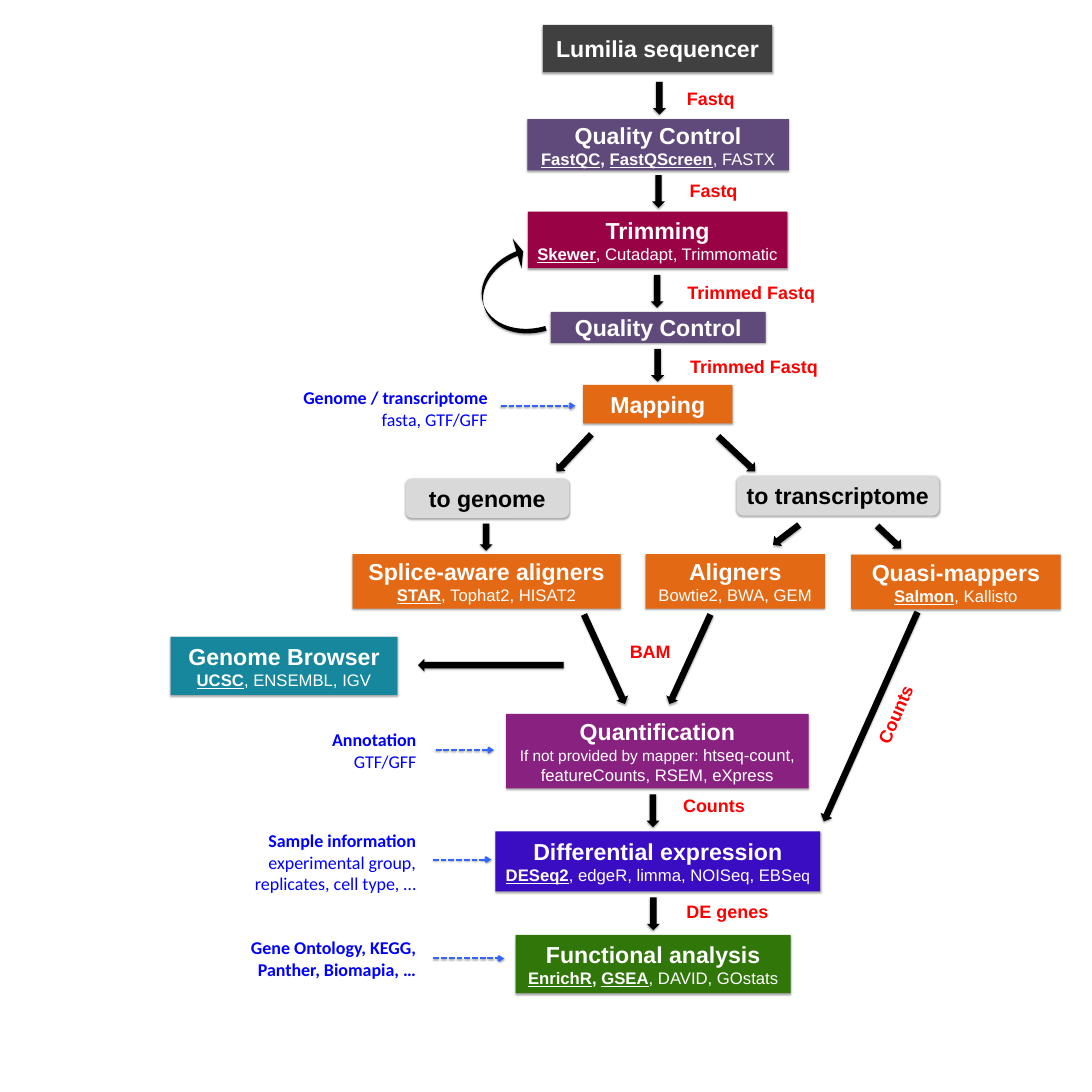
"""Draw the RNA-seq analysis workflow on one square slide."""
from dataclasses import dataclass

from lxml import etree
from pptx import Presentation
from pptx import util as u
from pptx.dml.color import RGBColor
from pptx.enum import dml, shapes, text
from pptx.oxml import ns

KIND = shapes.MSO_SHAPE


@dataclass(frozen=True)
class Theme:
    """Colours, fonts and type sizes of the slide."""
    dark: str = "404040"
    check: str = "604A7B"
    trim: str = "9A0246"
    map: str = "E46914"
    count: str = "88217F"
    diff: str = "3A0CC2"
    func: str = "307609"
    view: str = "16879D"
    pale: str = "D9D9D9"
    white: str = "FFFFFF"
    black: str = "000000"
    red: str = "FF0000"
    blue: str = "0000FF"
    dash: str = "3366FF"
    sans: str = "Arial"
    note: str = "Calibri"
    head: int = 36
    label: int = 28
    tool: int = 26
    small: int = 24


class Chart:
    """Hold the theme and the slide, and draw each kind of element."""

    def __init__(self, slide, theme):
        """Keep the slide and its theme."""
        self.items = slide.shapes
        self.theme = theme

    def shade(self, item, alpha=35, drop=1.8):
        """Give an item a soft shadow below it."""
        glow = etree.SubElement(item._element.spPr, ns.qn("a:effectLst"))
        cast = etree.SubElement(glow, ns.qn("a:outerShdw"), blurRad=str(u.Pt(3.1)),
                                dist=str(u.Pt(drop)), dir="5400000", rotWithShape="0")
        tint = etree.SubElement(cast, ns.qn("a:srgbClr"), val=self.theme.black)
        etree.SubElement(tint, ns.qn("a:alpha"), val=str(alpha * 1000))

    def shape(self, kind, place, fill, turn=0, shade=True):
        """Add a filled preset shape without an outline."""
        item = self.items.add_shape(kind, *map(u.Inches, place))
        item.rotation = turn
        item.fill.solid()
        item.fill.fore_color.rgb = RGBColor.from_string(fill)
        item.line.fill.background()
        if shade:
            self.shade(item)
        else:
            item.shadow.inherit = False
        return item

    def frame(self, item, wrap=True, anchor=text.MSO_ANCHOR.TOP, side=0.16):
        """Set margins, wrap and anchor, and return the text frame."""
        frame = item.text_frame
        frame.word_wrap = wrap
        frame.vertical_anchor = anchor
        frame.margin_left = frame.margin_right = u.Inches(side)
        frame.margin_top = frame.margin_bottom = u.Inches(side / 2)
        return frame

    def style(self, run, size, color, face, bold=True, under=False):
        """Format one run."""
        font = run.font
        font.name, font.size = face, u.Pt(size)
        font.bold, font.underline = bold, under
        font.color.rgb = RGBColor.from_string(color)

    def title(self, item, words, color, side=0.16):
        """Write a centred heading in a shape and return the frame."""
        frame = self.frame(item, anchor=text.MSO_ANCHOR.MIDDLE, side=side)
        frame.text = words
        line = frame.paragraphs[0]
        line.alignment = text.PP_ALIGN.CENTER
        self.style(line.runs[0], self.theme.head, color, self.theme.sans)
        return frame

    def step(self, place, fill, words, tools=()):
        """Add a step box; tools are (mark, text): u key, b bold, s small."""
        theme = self.theme
        frame = self.title(self.shape(KIND.RECTANGLE, place, fill), words, theme.white)
        if tools:
            line = frame.add_paragraph()
            line.alignment = text.PP_ALIGN.CENTER
            for mark, part in tools:
                run = line.add_run()
                run.text = part
                size = theme.small if mark == "s" else theme.tool
                self.style(run, size, theme.white, theme.sans, mark in ("u", "b"), mark == "u")

    def branch(self, place, words):
        """Add a rounded box that names a branch."""
        item = self.shape(KIND.ROUNDED_RECTANGLE, place, self.theme.pale)
        self.title(item, words, self.theme.black, 0.1)

    def label(self, left, top, width, words, turn=0):
        """Add a red label for the data passed on."""
        theme = self.theme
        item = self.shape(KIND.RECTANGLE, (left, top, width, 0.63), theme.white, turn, False)
        frame = self.frame(item, wrap=False)
        frame.text = words
        line = frame.paragraphs[0]
        line.alignment = text.PP_ALIGN.CENTER
        self.style(line.runs[0], theme.label, theme.red, theme.sans)

    def arrow(self, left, top, size=0.71, turn=0):
        """Add a block arrow that points down before its turn."""
        self.shape(KIND.DOWN_ARROW, (left, top, 0.28, size), self.theme.black, turn)

    def loop(self, place, turn, bends):
        """Add the curved arrow back to an earlier step."""
        item = self.shape(KIND.CURVED_LEFT_ARROW, place, self.theme.black, turn)
        for spot, bend in enumerate(bends):
            item.adjustments[spot] = bend

    def note(self, place, head, more=""):
        """Add a blue note, set right, with a bold first paragraph."""
        frame = self.frame(self.items.add_textbox(*map(u.Inches, place)))
        frame.text = f"{head}\n{more}" if more else head
        for spot, line in enumerate(frame.paragraphs):
            line.alignment = text.PP_ALIGN.RIGHT
            self.style(line.runs[0], self.theme.label, self.theme.blue, self.theme.note, spot == 0)

    def feed(self, start, end, top):
        """Add a dashed arrow from a note to its step."""
        ends = map(u.Inches, (start, top, end, top))
        item = self.items.add_connector(shapes.MSO_CONNECTOR.STRAIGHT, *ends)
        item.line.color.rgb = RGBColor.from_string(self.theme.dash)
        item.line.width = u.Pt(3)
        item.line.dash_style = dml.MSO_LINE.SQUARE_DOT
        etree.SubElement(item.line._get_or_add_ln(), ns.qn("a:tailEnd"), type="arrow")
        self.shade(item, 38, 1.6)


deck = Presentation()
deck.slide_width = deck.slide_height = u.Inches(23.63)
look = Theme()
flow = Chart(deck.slides.add_slide(deck.slide_layouts[6]), look)

for label in [
    (14.69, 1.81, 1.38, "Fastq"), (14.75, 3.8, 1.38, "Fastq"),
    (14.65, 6.01, 3.21, "Trimmed Fastq"), (14.71, 7.61, 3.21, "Trimmed Fastq"),
    (13.34, 13.78, 1.46, "BAM"), (18.53, 15.15, 1.68, "Counts", 293.5),
    (14.61, 17.12, 1.68, "Counts"), (14.49, 19.4, 2.5, "DE genes"),
]:
    flow.label(*label)

for step in [
    ((11.75, 0.54, 4.96, 1.02), look.dark, "Lumilia sequencer"),
    ((11.41, 2.58, 5.66, 1.11), look.check, "Quality Control",
     [("u", "FastQC"), ("b", ", "), ("u", "FastQScreen"), ("", ", FASTX")]),
    ((11.42, 4.58, 5.62, 1.22), look.trim, "Trimming",
     [("u", "Skewer"), ("", ", Cutadapt, Trimmomatic")]),
    ((11.92, 6.75, 4.65, 0.67), look.check, "Quality Control"),
    ((12.62, 8.33, 3.23, 0.83), look.map, "Mapping"),
    ((7.63, 11.99, 5.8, 1.18), look.map, "Splice-aware aligners",
     [("u", "STAR"), ("", ", Tophat2, HISAT2")]),
    ((13.97, 11.99, 3.88, 1.18), look.map, "Aligners", [("", "Bowtie2, BWA, GEM")]),
    ((18.42, 12, 4.53, 1.18), look.map, "Quasi-mappers",
     [("u", "Salmon"), ("", ", Kallisto")]),
    ((3.69, 13.78, 4.91, 1.26), look.view, "Genome Browser",
     [("u", "UCSC"), ("", ", ENSEMBL, IGV")]),
    ((10.95, 15.45, 6.55, 1.61), look.count, "Quantification",
     [("s", "If not provided by mapper: "), ("", "htseq-count, featureCounts, RSEM, eXpress")]),
    ((10.72, 17.99, 7.03, 1.3), look.diff, "Differential expression",
     [("u", "DESeq2"), ("", ", edgeR, limma, NOISeq, EBS"), ("s", "eq")]),
    ((11.16, 20.23, 5.95, 1.26), look.func, "Functional analysis",
     [("u", "EnrichR"), ("b", ", "), ("u", "GSEA"), ("", ", DAVID, GOstats")]),
]:
    flow.step(*step)

flow.branch((8.77, 10.35, 3.55, 0.86), "to genome")
flow.branch((15.94, 10.29, 4.38, 0.87), "to transcriptome")

for arrow in [
    (14.13, 1.77), (14.11, 3.79), (14.08, 5.95), (14.09, 7.55), (13.99, 17.19), (14, 19.42),
    (12.28, 9.25, 1.1, 43.3), (15.8, 9.27, 1.1, 313.3), (10.38, 11.33, 0.59),
    (16.87, 11.22, 0.71, 52.7), (19.1, 11.27, 0.71, 313.3),
    (12.94, 13.2, 2.13, 335.4), (14.79, 13.2, 2.13, 24.6),
    (18.7, 13.03, 4.96, 24.1), (10.48, 12.82, 3.15, 90),
]:
    flow.arrow(*arrow)
flow.loop((10.4, 5.24, 1.15, 2.12), 163.5, (0.09, 0.58, 0.12))

for note in [
    ((6.15, 8.29, 4.56, 1.1), "Genome / transcriptome", "fasta, GTF/GFF"),
    ((6.61, 15.69, 2.56, 1.1), "Annotation", "GTF/GFF"),
    ((4.6, 17.87, 4.56, 1.57), "Sample information",
     "experimental group, replicates, cell type, …"),
    ((5, 20.19, 4.16, 1.1), "Gene Ontology, KEGG, Panther, Biomapia, …"),
]:
    flow.note(*note)
for feed in [(10.84, 12.45, 8.78), (9.43, 10.69, 16.23), (9.37, 10.63, 18.6), (9.38, 10.91, 20.74)]:
    flow.feed(*feed)

deck.save("out.pptx")
